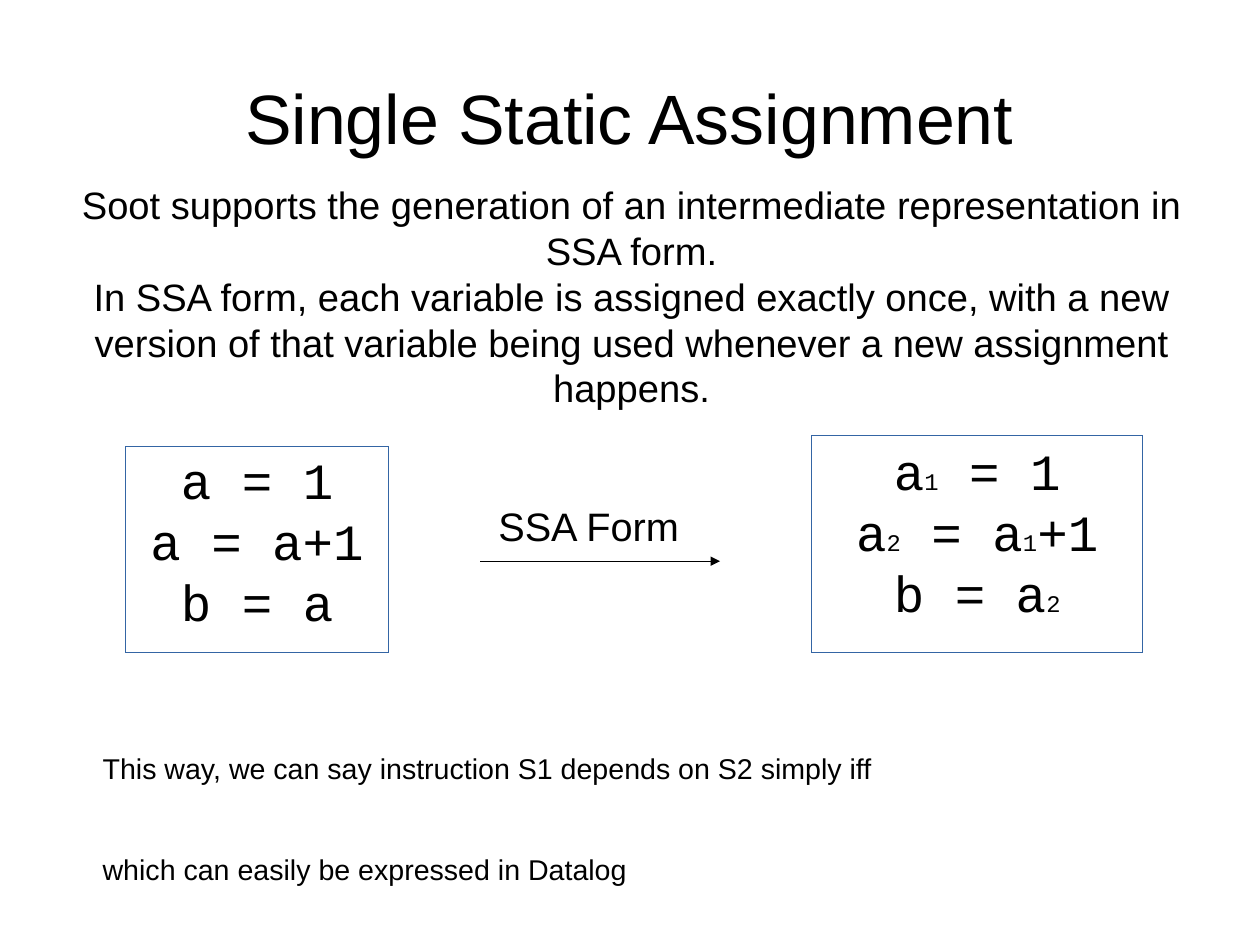
from dataclasses import dataclass

from lxml.etree import SubElement
from pptx import Presentation
from pptx.dml.color import RGBColor
from pptx.enum.shapes import MSO_CONNECTOR, MSO_SHAPE
from pptx.enum.text import MSO_ANCHOR, PP_ALIGN
from pptx.oxml.ns import qn
from pptx.util import Inches, Pt

BLACK = "000000"
BLUE = "3465A4"
SUB = 15  # size of variable indices


@dataclass
class Label:
    box: tuple[float, float, float, float]
    lines: list[str]  # odd parts between bars are indices
    size: int
    font: str = "Arial"
    inset: tuple[float, float, float, float] = (0, 0, 0, 0)  # left, top, right, bottom
    center: bool = True


@dataclass
class Frame:
    box: tuple[float, float, float, float]


NOTE = (0.1, 0.05, 0.1, 0.05)
CODE = (0, 0, 0, 0.53)

LABELS = [
    Label((0.55, 0.33, 9.92, 1.38), ["Single Static Assignment"], 44),
    Label((0.55, 1.15, 9.95, 2.75), [
        "Soot supports the generation of an intermediate representation in SSA form.",
        "In SSA form, each variable is assigned exactly once, with a new version "
        "of that variable being used whenever a new assignment happens.",
    ], 24, inset=(0, 0.48, 0, 0.35)),
    Label((0.1, 3.98, 4.3, 2.02), ["a = 1", "a = a+1", "b = a"],
          32, "Courier New", CODE),
    Label((6.4, 3.9, 4.3, 2.02), ["a|1| = 1", "a|2| = a|1|+1", "b = a|2|"],
          32, "Courier New", CODE),
    Label((4.2, 4.41, 1.9, 0.89), ["SSA Form"], 25, inset=(0, 0, 0, 0.52)),
    Label((0.8, 6.52, 9.6, 0.38),
          ["This way, we can say instruction S1 depends on S2 simply iff"],
          18, inset=NOTE, center=False),
    Label((0.8, 7.4, 9.6, 0.38), ["which can easily be expressed in Datalog"],
          18, inset=NOTE, center=False),
]

FRAMES = [Frame((1.1, 3.91, 2.3, 1.8)), Frame((7.1, 3.81, 2.9, 1.9))]


def color(code: str) -> RGBColor:
    return RGBColor.from_string(code)


def draw_label(slide, label: Label) -> None:
    frame = slide.shapes.add_textbox(*map(Inches, label.box)).text_frame
    frame.word_wrap = True
    frame.vertical_anchor = MSO_ANCHOR.MIDDLE if label.center else MSO_ANCHOR.TOP
    (frame.margin_left, frame.margin_top,
     frame.margin_right, frame.margin_bottom) = map(Inches, label.inset)
    for row, line in enumerate(label.lines):
        para = frame.add_paragraph() if row else frame.paragraphs[0]
        para.alignment = PP_ALIGN.CENTER if label.center else PP_ALIGN.LEFT
        para.font.name = label.font
        para.font.size = Pt(label.size)
        para.font.color.rgb = color(BLACK)
        for index, part in enumerate(line.split("|")):
            if part:
                run = para.add_run()
                run.text = part
                if index % 2:
                    run.font.size = Pt(SUB)


def set_line(shape, code: str) -> None:
    # A zero width is a hairline only without the theme style
    shape.line.color.rgb = color(code)
    shape.line.width = Pt(0)
    shape._element.remove(shape._element.find(qn("p:style")))


def draw_frame(slide, frame: Frame) -> None:
    rect = slide.shapes.add_shape(MSO_SHAPE.RECTANGLE, *map(Inches, frame.box))
    rect.shadow.inherit = False
    rect.fill.background()
    set_line(rect, BLUE)


def draw_arrow(slide, left: float, right: float, top: float) -> None:
    arrow = slide.shapes.add_connector(
        MSO_CONNECTOR.STRAIGHT, *map(Inches, (left, top, right, top)))
    set_line(arrow, BLACK)
    SubElement(arrow.line._get_or_add_ln(), qn("a:tailEnd"), type="triangle")
    SubElement(arrow._element.spPr, qn("a:effectLst"))


def main() -> None:
    # Slide of 28 by 21 centimetres
    deck = Presentation()
    deck.slide_width, deck.slide_height = Inches(28 / 2.54), Inches(21 / 2.54)
    slide = deck.slides.add_slide(deck.slide_layouts[6])

    # Code boxes and the step between them
    for frame in FRAMES:
        draw_frame(slide, frame)
    draw_arrow(slide, 4.2, 6.3, 4.91)

    # All text
    for label in LABELS:
        draw_label(slide, label)

    deck.save("out.pptx")


if __name__ == "__main__":
    main()
